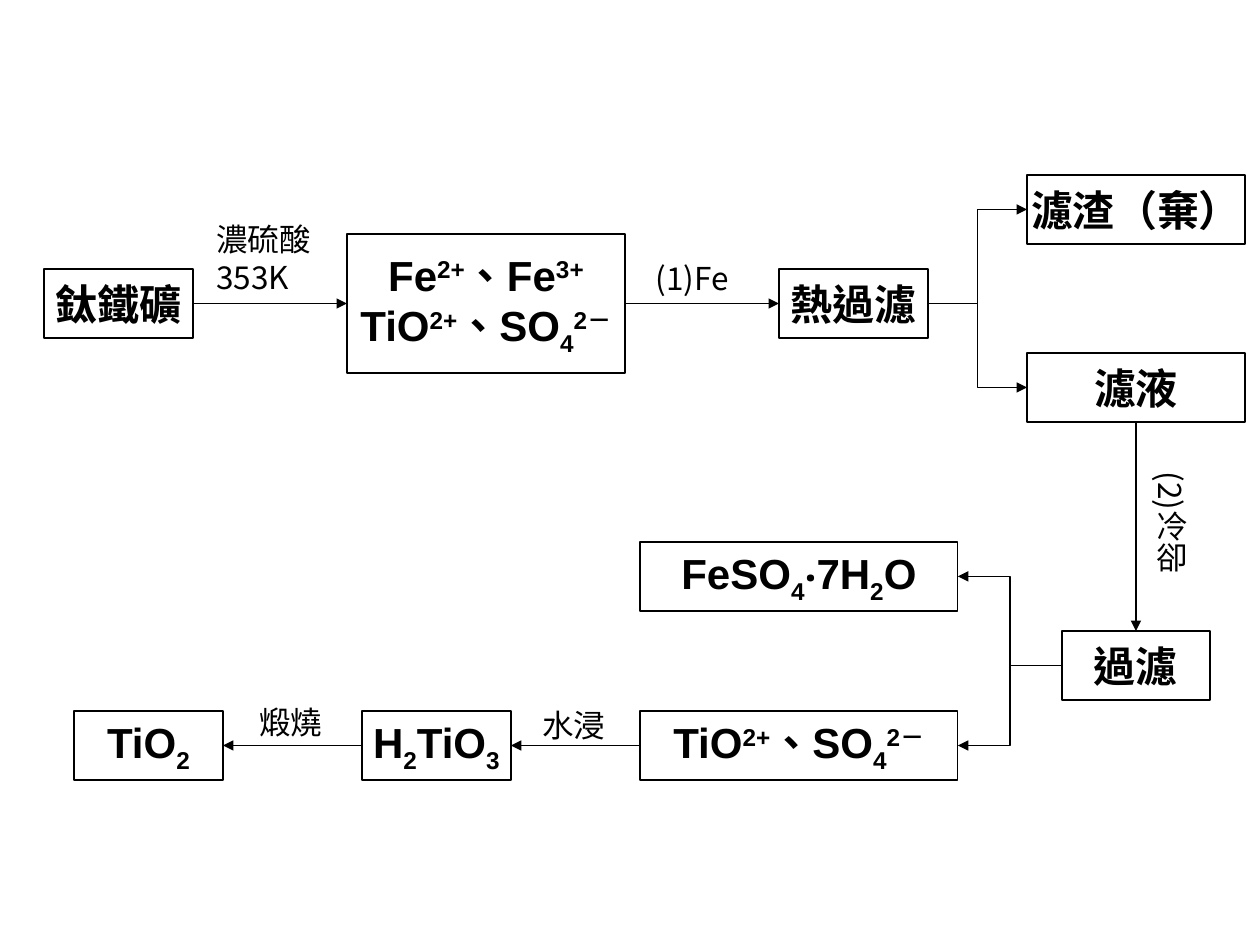
"""Build a flow chart of making titanium dioxide from ilmenite."""
from pptx import Presentation, util as u
from pptx.dml.color import RGBColor
from pptx.enum import shapes, text
from pptx.oxml.ns import qn
from lxml import etree

PX = 914400 // 126
INK = "000000"
TOP, LEFT, BOTTOM, RIGHT = range(4)
BOXES = {
    "ore": (44, 269, 149, 69, ["鈦鐵礦"]),
    "ions": (347, 234, 278, 139, ["Fe|^2+|、Fe|^3+", "TiO|^2+|、SO|_4|^2－"]),
    "hot": (779, 269, 149, 69, ["熱過濾"]),
    "salt": (640, 711, 318, 69, ["TiO|^2+|、SO|_4|^2－"]),
    "iron": (640, 542, 318, 69, ["FeSO|_4|‧7H|_2|O"]),
    "filter": (1062, 631, 148, 69, ["過濾"]),
    "acid": (362, 711, 149, 69, ["H|_2|TiO|_3"]),
    "oxide": (74, 711, 149, 69, ["TiO|_2"]),
    "waste": (1027, 175, 218, 69, ["濾渣（棄）"]),
    "liquid": (1027, 353, 218, 69, ["濾液"]),
}
LINKS = [
    ("ore", RIGHT, "ions", LEFT),
    ("ions", RIGHT, "hot", LEFT),
    ("hot", RIGHT, "waste", LEFT),
    ("hot", RIGHT, "liquid", LEFT),
    ("liquid", BOTTOM, "filter", TOP),
    ("filter", LEFT, "iron", RIGHT),
    ("filter", LEFT, "salt", RIGHT),
    ("salt", LEFT, "acid", RIGHT),
    ("acid", LEFT, "oxide", RIGHT),
]
LABELS = [
    (204, 214, 120, 88, ["濃硫酸", "353K"], False),
    (643, 253, 120, 50, ["(1)Fe"], False),
    (1133, 459, 63, 131, ["(2)冷卻"], True),
    (530, 700, 88, 50, ["水浸"], False),
    (247, 697, 88, 50, ["煅燒"], False),
]
SHIFT = {"^": "30000", "_": "-25000"}
CJK = "Noto Sans CJK SC"


def tint(code):
    """Turn a hex string into a colour."""
    return RGBColor.from_string(code)


def write(frame, lines, size=18, face=CJK, bold=False, align=text.PP_ALIGN.LEFT):
    """Fill a frame with lines whose parts may be raised (^) or lowered (_)."""
    frame.word_wrap = False
    for i, line in enumerate(lines):
        para = frame.paragraphs[0] if i == 0 else frame.add_paragraph()
        para.alignment = align
        for part in line.split("|"):
            run = para.add_run()
            run.text = part.lstrip("^_")
            font = run.font
            font.size, font.name, font.bold = u.Pt(size), face, bold
            font.color.rgb = tint(INK)
            props = run._r.get_or_add_rPr()
            props.set("lang", "zh-TW")
            if part[0] in SHIFT:
                props.set("baseline", SHIFT[part[0]])
            etree.SubElement(props, qn("a:ea")).set("typeface", CJK)


def box(slide, x, y, w, h, lines):
    """Add an outlined box with bold centred text."""
    shape = slide.shapes.add_shape(
        shapes.MSO_SHAPE.RECTANGLE, *(v * PX for v in (x, y, w, h)))
    shape.shadow.inherit = False
    shape.fill.background()
    shape.line.color.rgb = tint(INK)
    shape.line.width = u.Pt(0.75)
    shape.text_frame.vertical_anchor = text.MSO_ANCHOR.MIDDLE
    write(shape.text_frame, lines, size=24, face="Arial", bold=True,
          align=text.PP_ALIGN.CENTER)
    return shape


def link(slide, start, out, end, into):
    """Join two boxes with an arrow, bent where their middles differ."""
    same = (start.top * 2 + start.height == end.top * 2 + end.height
            or start.left * 2 + start.width == end.left * 2 + end.width)
    kind = shapes.MSO_CONNECTOR.STRAIGHT if same else shapes.MSO_CONNECTOR.ELBOW
    line = slide.shapes.add_connector(kind, 0, 0, 0, 0)
    line.begin_connect(start, out)
    line.end_connect(end, into)
    line.line.color.rgb = tint(INK)
    line.line.width = u.Pt(0.75)
    etree.SubElement(line.line._get_or_add_ln(), qn("a:tailEnd")).set("type", "triangle")
    etree.SubElement(line._element.spPr, qn("a:effectLst"))


def label(slide, x, y, w, h, lines, upright):
    """Add a plain label, set in a vertical column when upright."""
    frame = slide.shapes.add_textbox(*(v * PX for v in (x, y, w, h))).text_frame
    write(frame, lines)
    frame.auto_size = text.MSO_AUTO_SIZE.SHAPE_TO_FIT_TEXT
    if upright:
        frame._txBody.bodyPr.set("vert", "eaVert")
        frame.margin_left = frame.margin_right = u.Inches(0.05)
        frame.margin_top = frame.margin_bottom = u.Inches(0.1)


def main():
    """Draw the boxes, arrows and labels, then save."""
    deck = Presentation()
    deck.slide_width, deck.slide_height = 1260 * PX, 945 * PX
    slide = deck.slides.add_slide(deck.slide_layouts[6])
    nodes = {name: box(slide, *item) for name, item in BOXES.items()}
    for start, out, end, into in LINKS:
        link(slide, nodes[start], out, nodes[end], into)
    for item in LABELS:
        label(slide, *item)
    deck.save("out.pptx")


if __name__ == "__main__":
    main()
